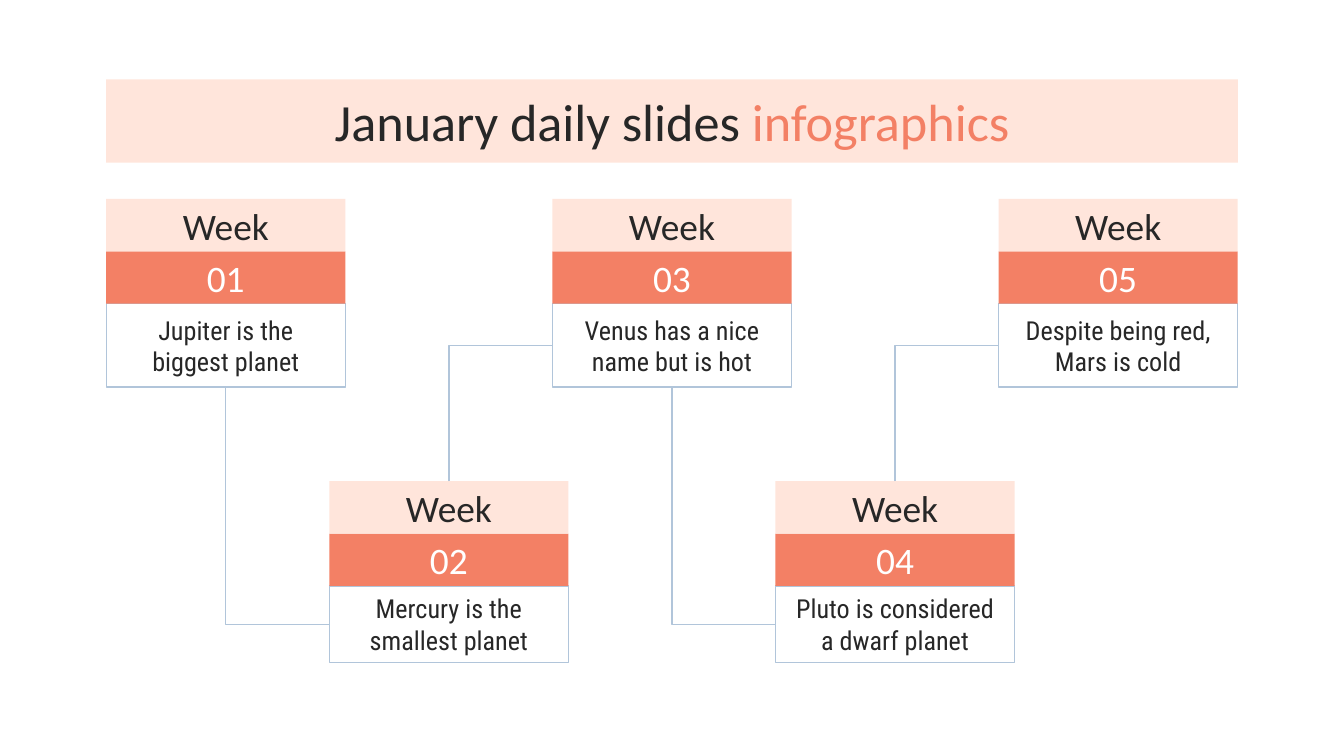
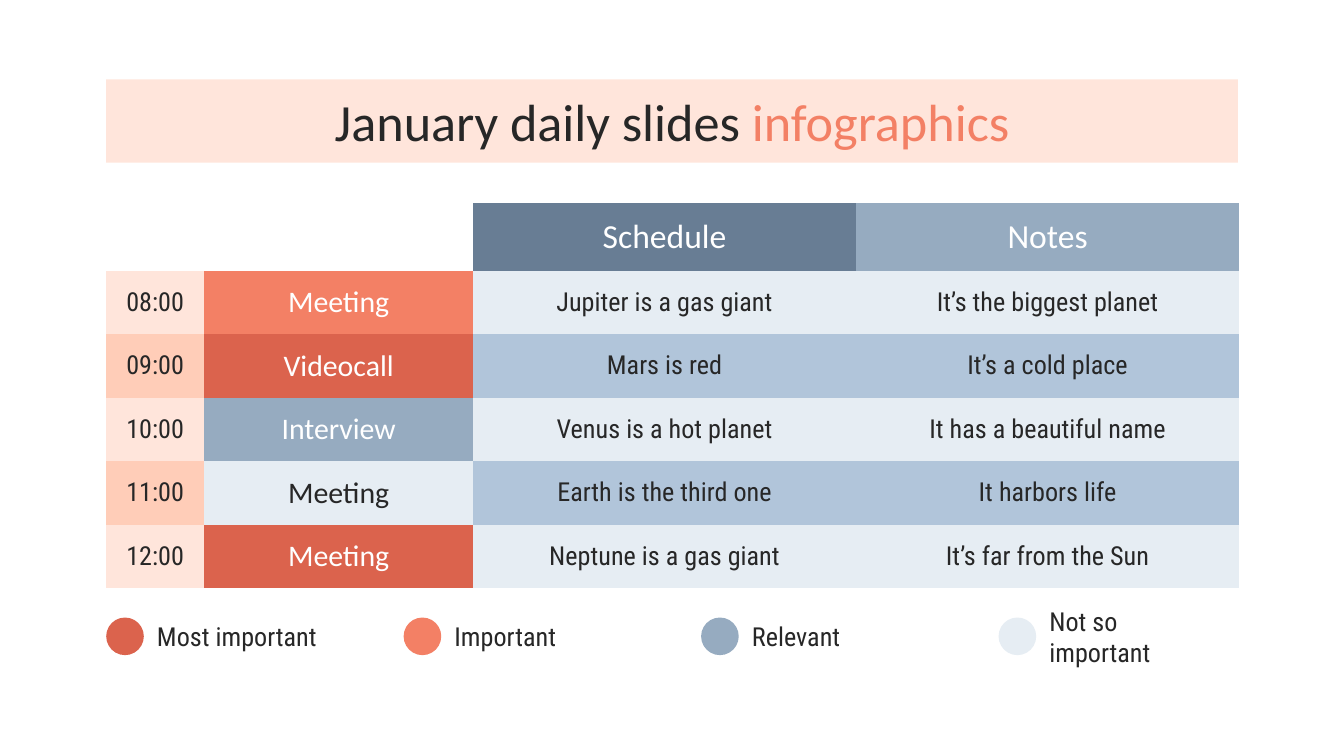
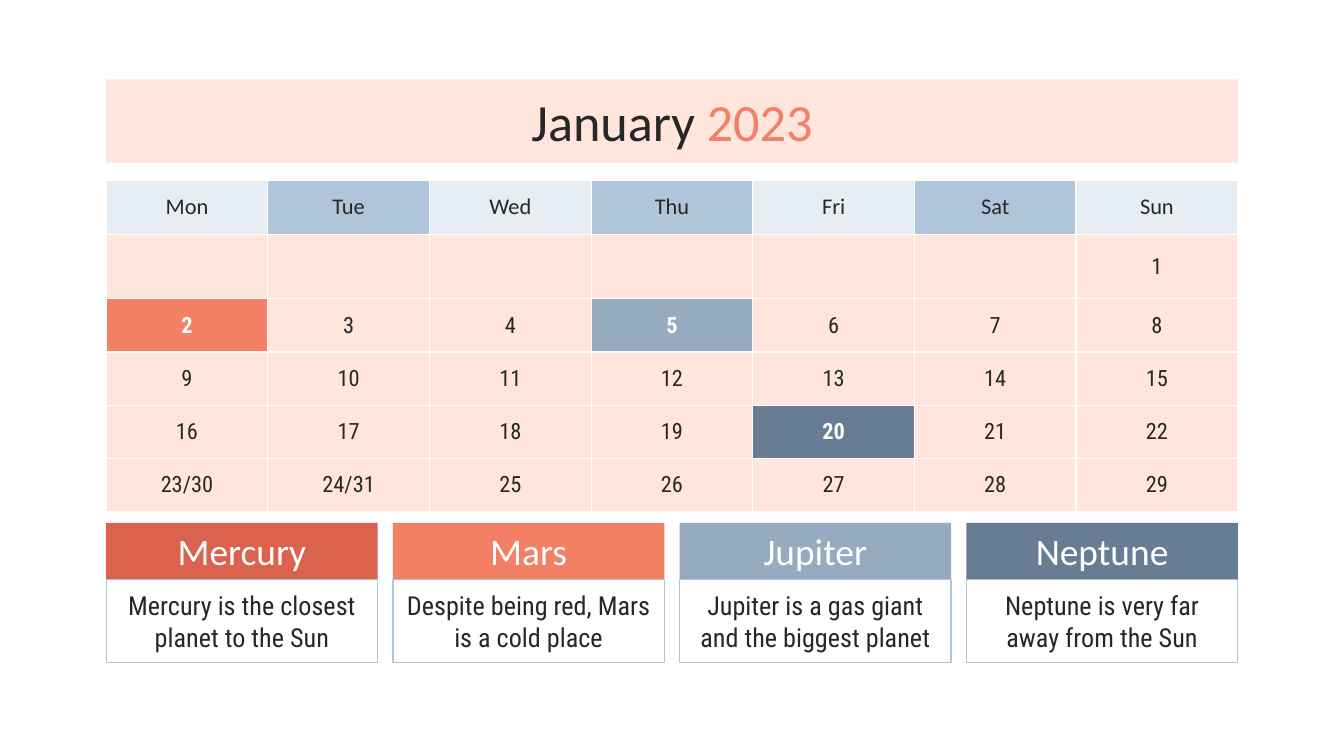
from lxml.etree import SubElement
from pptx import Presentation
from pptx.dml.color import RGBColor
from pptx.enum.shapes import MSO_CONNECTOR, MSO_SHAPE
from pptx.enum.text import MSO_ANCHOR, MSO_AUTO_SIZE, PP_ALIGN
from pptx.oxml.ns import qn
from pptx.util import Inches, Pt

# Colours
DARK = RGBColor(0x27, 0x27, 0x27)
WHITE = RGBColor(0xFF, 0xFF, 0xFF)
BLUSH = RGBColor(0xFF, 0xE5, 0xDB)
PEACH = RGBColor(0xFF, 0xCD, 0xB8)
CORAL = RGBColor(0xF3, 0x80, 0x65)
RED = RGBColor(0xDB, 0x63, 0x4D)
PALE = RGBColor(0xE6, 0xED, 0xF3)
SKY = RGBColor(0xB1, 0xC5, 0xDA)
STEEL = RGBColor(0x96, 0xAB, 0xC0)
SLATE = RGBColor(0x68, 0x7D, 0x94)

# Shared area and formats
LEFT, WIDE = 0.79, 8.42
HEAD, BODY = "Calibri", "Roboto Condensed"
TITLE = {"name": HEAD, "size": Pt(28)}
LABEL = {"name": HEAD, "size": Pt(20)}
TOPIC = {"name": HEAD, "size": Pt(18)}
TASK = {"name": HEAD, "size": Pt(16)}
NOTE = {"name": BODY, "size": Pt(14)}
WEEKDAY = {"name": HEAD, "size": Pt(12)}
DAY = {"name": BODY, "size": Pt(12)}
MARKED = {**DAY, "bold": True}
INSET = {"vertical_anchor": MSO_ANCHOR.MIDDLE,
         **{f"margin_{side}": Inches(0.1)
            for side in ("left", "right", "top", "bottom")}}
FRAME = {**INSET, "word_wrap": True, "auto_size": MSO_AUTO_SIZE.NONE}
PLAIN = "{2D5ABB26-0587-4C30-8999-92F81FD0307C}"


def apply(target, values):
    for key, value in values.items():
        setattr(target, key, value)


def paint(target, color):
    target.fill.solid()
    target.fill.fore_color.rgb = color


def write(frame, runs, style, align=PP_ALIGN.CENTER):
    """Fill the first paragraph with (text, colour) runs."""
    para = frame.paragraphs[0]
    para.alignment = align
    for text, color in runs:
        run = para.add_run()
        run.text = text
        apply(run.font, style)
        run.font.color.rgb = color


def draw(shapes, kind, box, fill=None, edge=None):
    shape = shapes.add_shape(kind, *map(Inches, box))
    shape.shadow.inherit = False
    if fill is None:
        shape.fill.background()
    else:
        paint(shape, fill)
    if edge is None:
        shape.line.fill.background()
    else:
        shape.line.color.rgb = edge
        shape.line.width = Pt(0.75)
    apply(shape.text_frame, FRAME)
    return shape


def start(deck, first, last):
    """Add a slide with the shared title band."""
    slide = deck.slides.add_slide(deck.slide_layouts[5])
    title = slide.shapes.title
    apply(title, {"left": Inches(LEFT), "top": Inches(0.59),
                  "width": Inches(WIDE), "height": Inches(0.62)})
    paint(title, BLUSH)
    apply(title.text_frame, FRAME)
    write(title.text_frame, [(first + " ", DARK), (last, CORAL)], TITLE)
    return slide


def card(slide, box, bands, step, note):
    """Stack label bands over an outlined note that fills the box."""
    x, y, w, h = box
    shapes = slide.shapes.add_group_shape().shapes
    used = step * len(bands)
    base = draw(shapes, MSO_SHAPE.RECTANGLE, (x, y + used, w, h - used), edge=SKY)
    write(base.text_frame, [(note, DARK)], NOTE)
    for i, (text, fill, color) in reversed(list(enumerate(bands))):
        band = draw(shapes, MSO_SHAPE.RECTANGLE, (x, y + i * step, w, step), fill)
        write(band.text_frame, [(text, color)], LABEL)


def elbow(slide, start_at, end_at):
    """Join two points with one bend: first vertical, then across."""
    (x1, y1), (x2, y2) = start_at, end_at
    w, h = abs(y2 - y1), abs(x2 - x1)
    line = slide.shapes.add_connector(MSO_CONNECTOR.ELBOW, 0, 0, 0, 0)
    apply(line, {"left": Inches((x1 + x2 - w) / 2),
                 "top": Inches((y1 + y2 - h) / 2),
                 "width": Inches(w), "height": Inches(h)})
    line.line.color.rgb = SKY
    line.line.width = Pt(0.75)
    props = line._element.spPr
    props.find(qn("a:prstGeom")).set("prst", "bentConnector2")
    turn = props.find(qn("a:xfrm"))
    turn.set("rot", str(270 * 60000))
    if y2 > y1:
        turn.set("flipH", "1")
    SubElement(props, qn("a:effectLst"))


def grid(slide, top, cols, rows):
    """Add an unstyled table at the left margin."""
    frame = slide.shapes.add_table(len(rows), len(cols), Inches(LEFT), Inches(top),
                                   Inches(sum(cols)), Inches(sum(rows)))
    table = frame.table
    apply(table, {"first_row": False, "horz_banding": False})
    table._tbl.tblPr.find(qn("a:tableStyleId")).text = PLAIN
    for col, size in zip(table.columns, cols):
        col.width = Inches(size)
    for row, size in zip(table.rows, rows):
        row.height = Inches(size)
    return table


def border(cell, color):
    props = cell._tc.get_or_add_tcPr()
    for side in ("lnL", "lnR", "lnT", "lnB"):
        line = SubElement(props, qn("a:" + side), w=str(Pt(0.75)))
        fill = SubElement(line, qn("a:solidFill"))
        SubElement(fill, qn("a:srgbClr"), val=str(color))


def fill_cell(cell, text, style, fill, color=DARK):
    apply(cell, INSET)
    paint(cell, fill)
    if text:
        write(cell.text_frame, [(text, color)], style)
    else:
        end = cell.text_frame.paragraphs[0]._p.get_or_add_endParaRPr()
        end.set("sz", str(int(style["size"].pt * 100)))


def legend(slide, top, items):
    """Spread coloured dots with their labels over the full width."""
    dot, label, tall = 0.28, 1.5, 0.39
    pitch = (WIDE - dot - label) / (len(items) - 1)
    for i, (text, color) in enumerate(items):
        x = LEFT + i * pitch
        shapes = slide.shapes.add_group_shape().shapes
        box = shapes.add_textbox(*map(Inches, (x + dot, top, label, tall)))
        apply(box.text_frame, FRAME)
        write(box.text_frame, [(text, DARK)], NOTE, PP_ALIGN.LEFT)
        draw(shapes, MSO_SHAPE.OVAL, (x, top + (tall - dot) / 2, dot, dot), color)


def weeks(deck):
    slide = start(deck, "January daily slides", "infographics")
    notes = ["Jupiter is the biggest planet", "Mercury is the smallest planet",
             "Venus has a nice name but is hot", "Pluto is considered a dwarf planet",
             "Despite being red, Mars is cold"]
    w, step = 1.78, 0.39
    pitch = (WIDE - w) / (len(notes) - 1)
    boxes = []
    # Cards alternate between the upper and lower row
    for i, note in enumerate(notes):
        y, h = (3.58, 1.35) if i % 2 else (1.48, 1.4)
        box = (LEFT + i * pitch, y, w, h)
        bands = [("Week", BLUSH, DARK), (f"{i + 1:02}", CORAL, WHITE)]
        card(slide, box, bands, step, note)
        boxes.append(box)
    # Links run to the middle of the next note
    for (x, y, _, h), (nx, ny, _, nh) in zip(boxes, boxes[1:]):
        edge = y + h if ny > y else y
        elbow(slide, (x + w / 2, edge), (nx, ny + (2 * step + nh) / 2))


def agenda(deck):
    slide = start(deck, "January daily slides", "infographics")
    plan = [("Meeting", CORAL, "Jupiter is a gas giant", "It’s the biggest planet"),
            ("Videocall", RED, "Mars is red", "It’s a cold place"),
            ("Interview", STEEL, "Venus is a hot planet", "It has a beautiful name"),
            ("Meeting", PALE, "Earth is the third one", "It harbors life"),
            ("Meeting", RED, "Neptune is a gas giant", "It’s far from the Sun")]
    table = grid(slide, 1.51, [0.73, 2, 2.85, 2.85], [0.5] + [0.47] * len(plan))
    # Column heads
    fill_cell(table.cell(0, 2), "Schedule", TOPIC, SLATE, WHITE)
    fill_cell(table.cell(0, 3), "Notes", TOPIC, STEEL, WHITE)
    # Hours
    for i, (task, rank, fact, note) in enumerate(plan):
        row = i + 1
        hour, tint = (PEACH, SKY) if i % 2 else (BLUSH, PALE)
        fill_cell(table.cell(row, 0), f"{8 + i:02}:00", NOTE, hour)
        fill_cell(table.cell(row, 1), task, TASK, rank,
                  DARK if rank == PALE else WHITE)
        fill_cell(table.cell(row, 2), fact, NOTE, tint)
        fill_cell(table.cell(row, 3), note, NOTE, tint)
    legend(slide, 4.54, [("Most important", RED), ("Important", CORAL),
                         ("Relevant", STEEL), ("Not so important", PALE)])


def month(deck):
    slide = start(deck, "January", "2023")
    # Planet cards
    planets = [("Mercury", RED, "Mercury is the closest planet to the Sun"),
               ("Mars", CORAL, "Despite being red, Mars is a cold place"),
               ("Jupiter", STEEL, "Jupiter is a gas giant and the biggest planet"),
               ("Neptune", SLATE, "Neptune is very far away from the Sun")]
    w = 2.02
    pitch = (WIDE - w) / (len(planets) - 1)
    for i, (name, color, note) in enumerate(planets):
        card(slide, (LEFT + i * pitch, 3.89, w, 1.04),
             [(name, color, WHITE)], 0.42, note)
    # Calendar
    names = ["Mon", "Tue", "Wed", "Thu", "Fri", "Sat", "Sun"]
    marks = {2: CORAL, 5: STEEL, 20: SLATE}
    table = grid(slide, 1.34, [WIDE / 7] * 7, [0.4, 0.48] + [0.39] * 4)
    for col, name in enumerate(names):
        head = table.cell(0, col)
        border(head, WHITE)
        fill_cell(head, name, WEEKDAY, SKY if col % 2 else PALE)
        for week in range(5):
            day = 7 * week + col - 5
            text = str(day) if day > 0 else ""
            if week == 4 and day + 7 <= 31:
                text += f"/{day + 7}"
            cell = table.cell(week + 1, col)
            border(cell, WHITE)
            if day in marks:
                fill_cell(cell, text, MARKED, marks[day], WHITE)
            else:
                fill_cell(cell, text, DAY, BLUSH)


def main():
    deck = Presentation()
    # Widescreen, 16:9
    apply(deck, {"slide_width": Inches(10), "slide_height": Inches(10) * 9 // 16})
    for build in (weeks, agenda, month):
        build(deck)
    deck.save("out.pptx")


if __name__ == "__main__":
    main()
